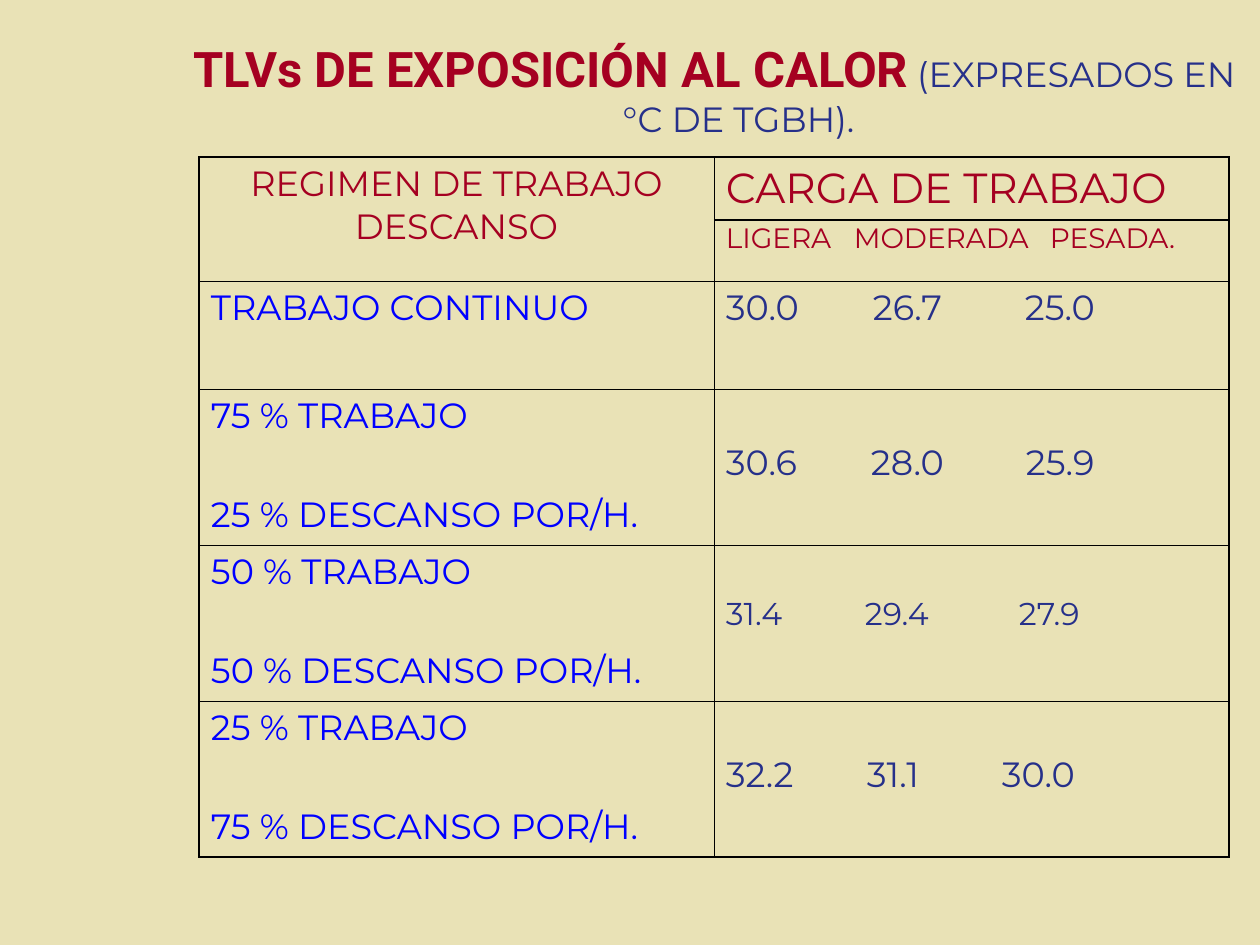
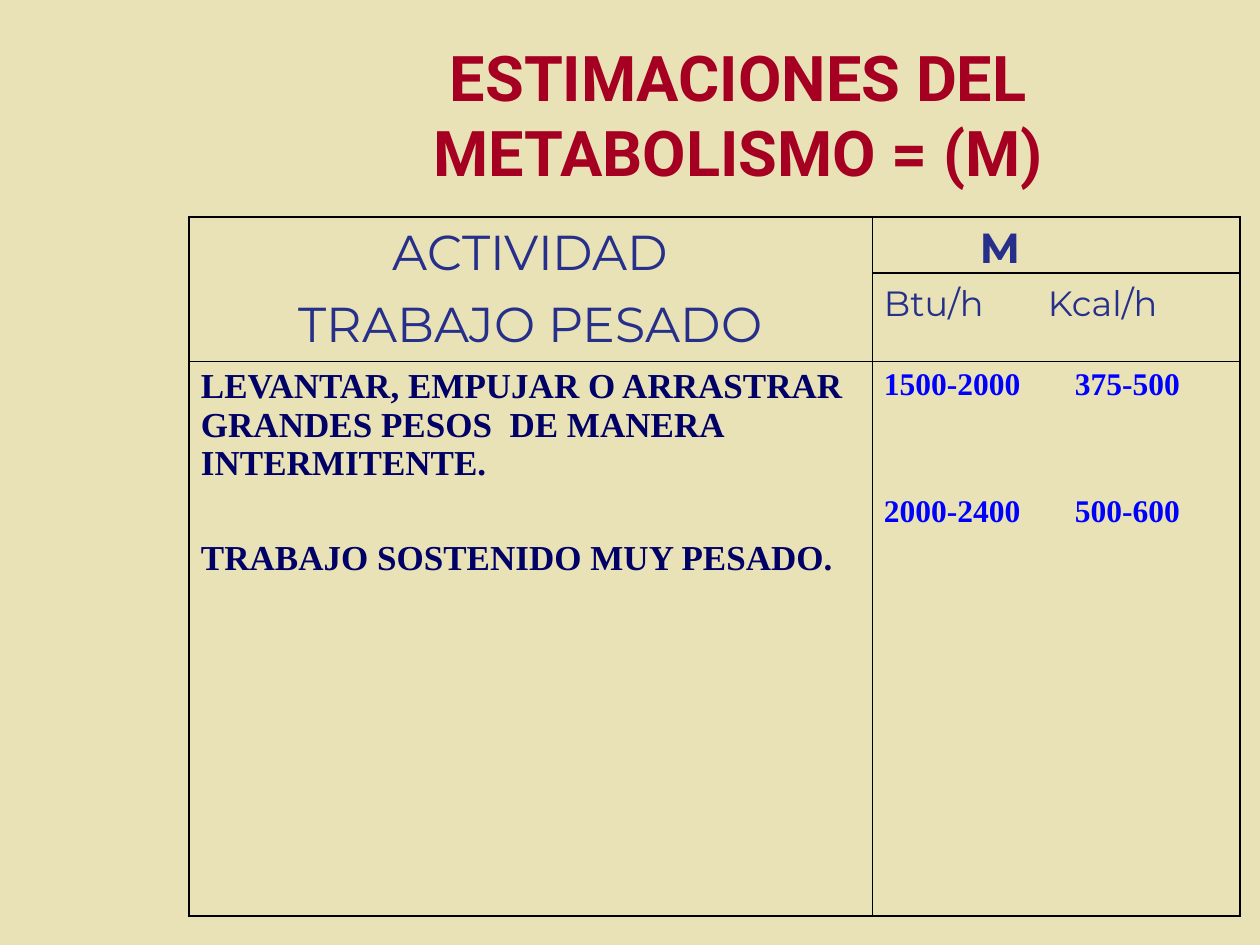
from dataclasses import dataclass

from lxml import etree
from pptx import Presentation
from pptx import util as u
from pptx.dml.color import RGBColor
from pptx.enum import shapes, text
from pptx.oxml.ns import qn


@dataclass(frozen=True)
class Theme:
    sand: str = "E9E2B6"
    red: str = "A50021"
    navy: str = "26308A"
    dark: str = "000066"
    blue: str = "0000FF"
    black: str = "000000"
    head: str = "Roboto"
    body: str = "Montserrat"
    serif: str = "Times New Roman"
    huge: int = 36
    big: int = 28
    large: int = 24
    base: int = 20
    small: int = 18
    tiny: int = 16
    thin: float = 0.45
    thick: float = 1.08


T = Theme()
MID = text.PP_ALIGN.CENTER
PAD_X, PAD_Y = 12, 6
GAP = 32  # points between the separate entries of one cell


def px(n):
    return u.Emu(round(n * 914400 / 126))


def write(para, words, size=T.base, font=T.body, color=T.navy, bold=False,
          align=None, gap=0, stops=()):
    """Add a run; gap is space before in points, stops are tab stops in px."""
    run = para.add_run()
    run.text = words
    run.font.size = u.Pt(size)
    run.font.name = font
    run.font.bold = bold
    run.font.color.rgb = RGBColor.from_string(color)
    para.space_before = u.Pt(gap)
    if align is not None:
        para.alignment = align
    if stops:
        tabs = etree.SubElement(para._p.get_or_add_pPr(), qn("a:tabLst"))
        for stop in stops:
            etree.SubElement(tabs, qn("a:tab"), pos=str(px(stop)), algn="l")


# Table contents: each cell is its top margin and its lines.
heat = [[
    (PAD_Y, [("REGIMEN DE TRABAJO DESCANSO", dict(color=T.red, align=MID))]),
    (PAD_Y, [("CARGA DE TRABAJO", dict(size=T.large, color=T.red)),
             ("LIGERA\tMODERADA\tPESADA.",
              dict(size=T.tiny, color=T.red, gap=4, stops=(128, 324)))]),
]]
limits = [
    (["TRABAJO CONTINUO"], "30.0\t26.7\t25.0", T.base, PAD_Y, (147, 299)),
    (["75 % TRABAJO", "25 % DESCANSO POR/H."],
     "30.6\t28.0\t25.9", T.base, 53, (145, 300)),
    (["50 % TRABAJO", "50 % DESCANSO POR/H."],
     "31.4\t29.4\t27.9", T.small, 50, (139, 293)),
    (["25 % TRABAJO", "75 % DESCANSO POR/H."],
     "32.2\t31.1\t30.0", T.base, 53, (141, 276)),
]
for names, values, size, pad, stops in limits:
    heat.append([
        (PAD_Y, [(name, dict(color=T.blue, gap=GAP if i else 0))
                 for i, name in enumerate(names)]),
        (pad, [(values, dict(size=size, stops=stops))]),
    ])

task = dict(font=T.serif, color=T.dark, bold=True)
rate = dict(font=T.serif, color=T.blue, bold=True, size=T.small, stops=(191,))
work = [
    [(PAD_Y, [("ACTIVIDAD", dict(size=T.big, align=MID)),
              ("TRABAJO PESADO", dict(size=T.big, align=MID, gap=7))]),
     (PAD_Y, [("\tM", dict(size=T.large, bold=True, stops=(96,))),
              ("Btu/h\tKcal/h", dict(gap=5, stops=(164,)))])],
    [(PAD_Y, [("LEVANTAR, EMPUJAR O ARRASTRAR GRANDES PESOS  DE MANERA "
               "INTERMITENTE.", task),
              ("TRABAJO SOSTENIDO MUY PESADO.", dict(task, gap=GAP))]),
     (PAD_Y, [("1500-2000\t375-500", rate),
              ("2000-2400\t500-600", dict(rate, gap=53))])],
]

title = dict(font=T.head, color=T.red, bold=True, align=MID)
pages = [
    dict(title=[("TLVs DE EXPOSICIÓN AL CALOR", dict(title, size=T.big)),
                (" (EXPRESADOS EN °C DE TGBH).", dict(align=MID))],
         hang=48, left=199, top=157, cols=(515, 515),
         rows=(124, 108, 156, 156, 156), cells=heat, rule=220),
    dict(title=[("ESTIMACIONES DEL METABOLISMO = (M)",
                 dict(title, size=T.huge))],
         hang=0, left=189, top=217, cols=(683, 368),
         rows=(144, 555), cells=work, rule=273),
]

prs = Presentation()
prs.slide_width, prs.slide_height = px(1260), px(945)
back = prs.slide_master.background.fill
back.solid()
back.fore_color.rgb = RGBColor.from_string(T.sand)

for page in pages:
    slide = prs.slides.add_slide(prs.slide_layouts[5])
    left, top, cols, rows = (page[k] for k in ("left", "top", "cols", "rows"))

    # Title
    head = slide.shapes.title
    head.left, head.top = px(179), px(32)
    head.width, head.height = px(1071), px(top - 32)
    frame = head.text_frame
    frame.word_wrap = True
    frame.auto_size = text.MSO_AUTO_SIZE.NONE
    frame.vertical_anchor = text.MSO_ANCHOR.TOP
    para = frame.paragraphs[0]
    props = para._p.get_or_add_pPr()
    props.set("marL", str(px(48)))
    props.set("indent", str(px(-page["hang"])))
    for words, form in page["title"]:
        write(para, words, **form)

    # Table
    table = slide.shapes.add_table(len(rows), len(cols), px(left), px(top),
                                   px(sum(cols)), px(sum(rows))).table
    table.first_row = table.horz_banding = False
    for col, width in zip(table.columns, cols):
        col.width = px(width)
    for row, height in zip(table.rows, rows):
        row.height = px(height)
    for r, line in enumerate(page["cells"]):
        for c, (pad, lines) in enumerate(line):
            cell = table.cell(r, c)
            cell.margin_left = cell.margin_right = px(PAD_X)
            cell.margin_top, cell.margin_bottom = px(pad), px(PAD_Y)
            for i, (words, form) in enumerate(lines):
                frame = cell.text_frame
                para = frame.add_paragraph() if i else frame.paragraphs[0]
                write(para, words, **form)
            edges = {"L": c == 0, "R": c == len(cols) - 1,
                     "T": r == 0, "B": r == len(rows) - 1}
            props = cell._tc.get_or_add_tcPr()
            for side, outer in edges.items():
                width = u.Pt(T.thick if outer else T.thin)
                edge = etree.SubElement(props, qn("a:ln" + side), w=str(width))
                fill = etree.SubElement(edge, qn("a:solidFill"))
                etree.SubElement(fill, qn("a:srgbClr"), val=T.black)
            cell.fill.background()

    # Rule across the split header cell
    rule = slide.shapes.add_connector(
        shapes.MSO_CONNECTOR.STRAIGHT, px(left + cols[0]), px(page["rule"]),
        px(left + sum(cols)), px(page["rule"]))
    rule.line.width = u.Pt(1)
    rule.line.color.rgb = RGBColor.from_string(T.black)
    etree.SubElement(rule._element.spPr, qn("a:effectLst"))

prs.save("out.pptx")
